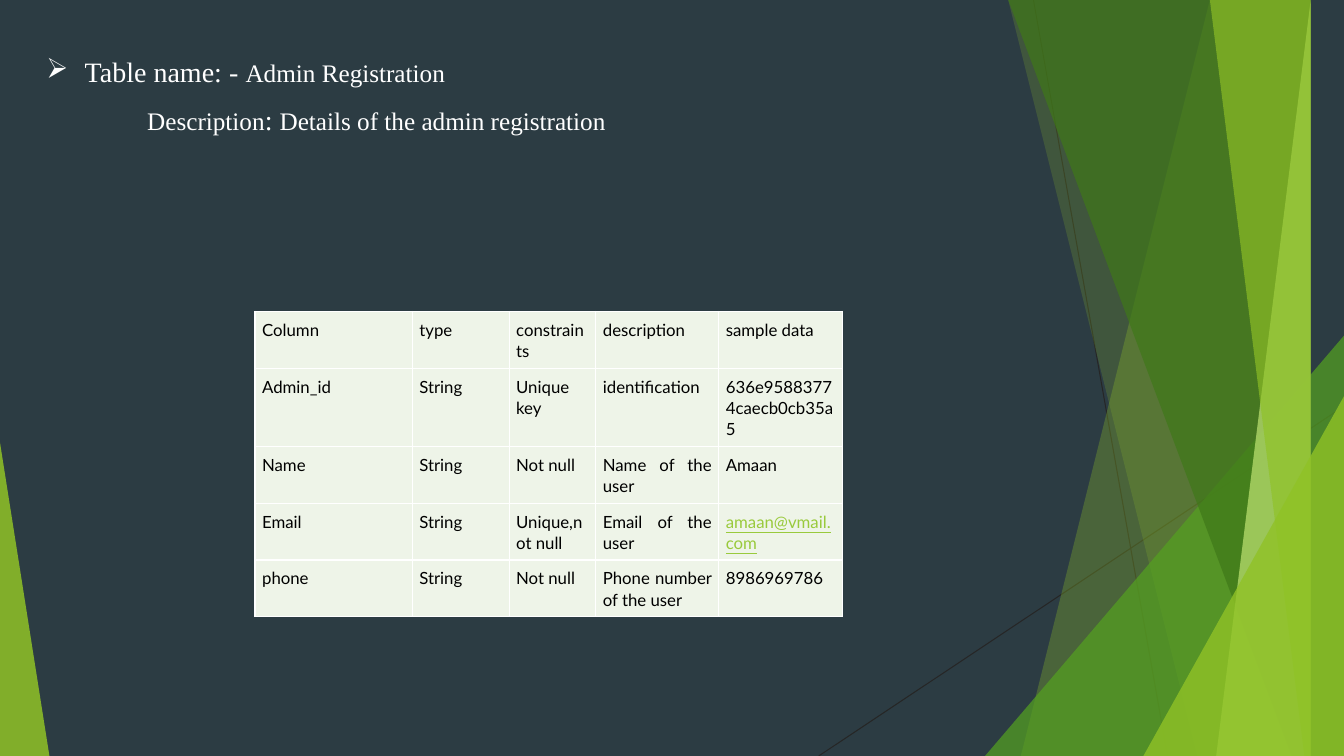
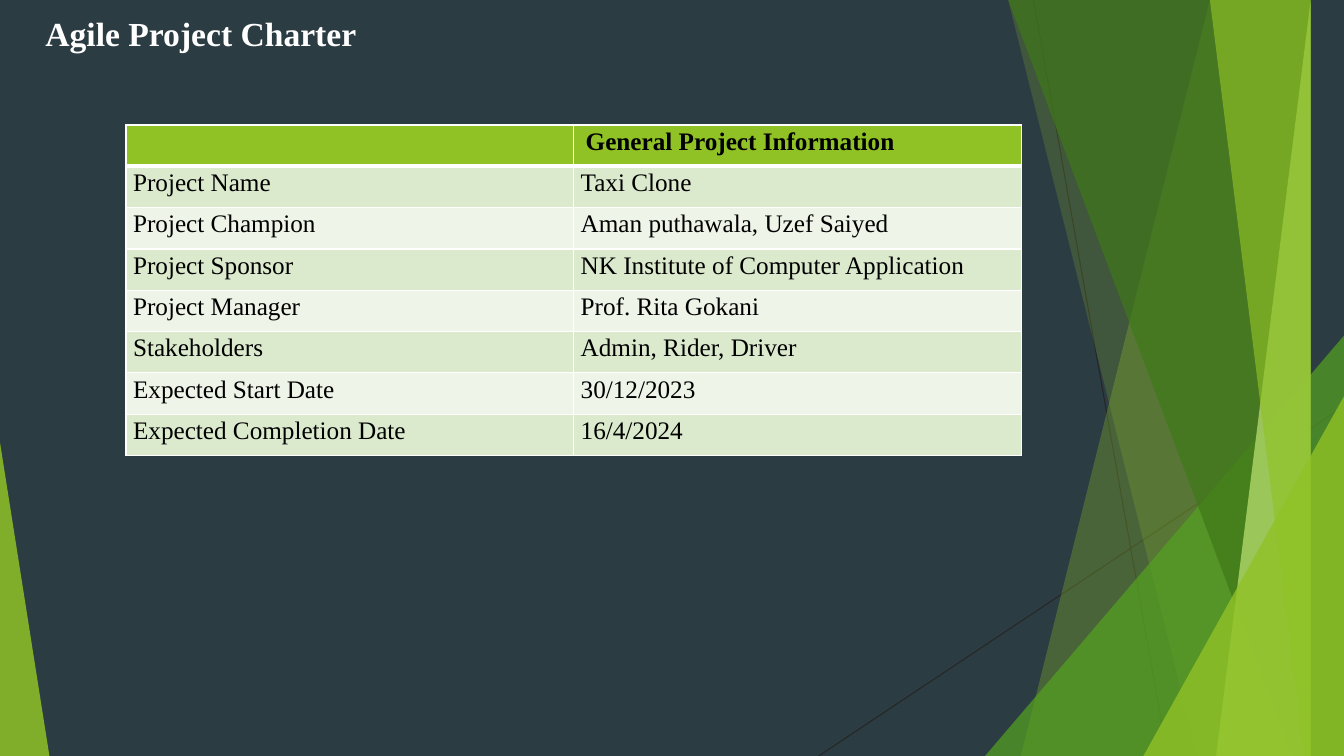
import pptx
import pptx.util
import pptx.dml.color
import pptx.enum.shapes
import pptx.enum.text
import pptx.oxml
import pptx.oxml.ns
from dataclasses import dataclass

Inches = pptx.util.Inches
Pt = pptx.util.Pt
ALIGN = pptx.enum.text.PP_ALIGN
WIDTH, HEIGHT = 13.33, 7.5


@dataclass(frozen=True)
class Theme:
    background: str = "2C3C43"
    line: str = "262626"
    lime: str = "90C226"
    green: str = "54A021"
    forest: str = "3F7819"
    pale: str = "C0E474"
    band_dark: str = "DBE9CD"
    band_light: str = "EEF4E8"
    link: str = "99CA3C"
    white: str = "FFFFFF"
    black: str = "000000"
    serif: str = "Times New Roman"
    sans: str = "Lato"
    title_size: int = 24
    heading_size: int = 20
    text_size: int = 18
    table_size: int = 12


THEME = Theme()

# Decoration: outline points, or box and apex position, then colour and opacity
GUIDE_LINES = [((10.25, 0), (11.58, HEIGHT)), ((WIDTH, 4.03), (8.12, HEIGHT))]
DECORATION = [
    ("band", (12.28, 10.04), THEME.lime, 30),
    ("band", (10.5, 11.83), THEME.lime, 20),
    ("triangle", (9.77, 3.33, 3.56, 4.17, 1), THEME.green, 72),
    ("band", (10.21, 12.91), THEME.forest, 70),
    ("band", (13.03, 11.92), THEME.pale, 70),
    ("band", (11.96, 13.18), THEME.lime, 65),
    ("triangle", (11.34, 3.93, 1.99, 3.57, 1), THEME.lime, 80),
    ("triangle", (0, 4.39, 0.49, 3.11, 0), THEME.lime, 85),
]

ADMIN_FIELDS = [
    ["Column", "type", "constraints", "description", "sample data"],
    ["Admin_id", "String", "Unique key", "identification", "636e95883774caecb0cb35a5"],
    ["Name", "String", "Not null", "Name of the user", "Amaan"],
    ["Email", "String", "Unique,not null", "Email of the user", "amaan@vmail.com"],
    ["phone", "String", "Not null", "Phone number of the user", "8986969786"],
]
CHARTER = [
    ["", "General Project Information"],
    ["Project Name", "Taxi Clone"],
    ["Project Champion", "Aman puthawala, Uzef Saiyed"],
    ["Project Sponsor", "NK Institute of Computer Application"],
    ["Project Manager", "Prof. Rita Gokani"],
    ["Stakeholders", "Admin, Rider, Driver"],
    ["Expected Start Date", "30/12/2023"],
    ["Expected Completion Date", "16/4/2024"],
]


def rgb(code):
    return pptx.dml.color.RGBColor.from_string(code)


def assign(target, formats):
    for attribute, value in formats.items():
        setattr(target, attribute, value)


def add_xml(parent, tag, **attributes):
    child = pptx.oxml.ns.qn(tag)
    element = parent.makeelement(child, attributes)
    parent.append(element)
    return element


def paint(fill, color, opacity=100):
    fill.solid()
    fill.fore_color.rgb = rgb(color)
    if opacity < 100:
        color_node = fill._xPr.find(".//" + pptx.oxml.ns.qn("a:srgbClr"))
        add_xml(color_node, "a:alpha", val=str(opacity * 1000))


# Shared background and decoration
def add_guide_line(slide, start, end):
    line = slide.shapes.add_connector(
        pptx.enum.shapes.MSO_CONNECTOR.STRAIGHT, *map(Inches, start + end))
    line.line.color.rgb = rgb(THEME.line)
    line.line.width = Pt(0.75)
    add_xml(line.element.spPr, "a:effectLst")
    return line


def add_band(slide, top_x, bottom_x):
    builder = slide.shapes.build_freeform(top_x, 0, scale=Inches(1))
    builder.add_line_segments([(WIDTH, 0), (WIDTH, HEIGHT), (bottom_x, HEIGHT)])
    return builder.convert_to_shape()


def add_triangle(slide, left, top, width, height, apex):
    triangle = slide.shapes.add_shape(
        pptx.enum.shapes.MSO_SHAPE.ISOSCELES_TRIANGLE,
        *map(Inches, (left, top, width, height)))
    triangle.adjustments[0] = apex
    return triangle


def decorate_master(master, slide):
    """Draw the decoration on a slide, then move it to the master."""
    paint(master.background.fill, THEME.background)
    parts = [add_guide_line(slide, *ends) for ends in GUIDE_LINES]
    builders = {"band": add_band, "triangle": add_triangle}
    for kind, geometry, color, opacity in DECORATION:
        part = builders[kind](slide, *geometry)
        part.shadow.inherit = False
        part.line.fill.background()
        paint(part.fill, color, opacity)
        parts.append(part)
    for order, part in enumerate(parts):
        part.element.xpath(".//p:cNvPr")[0].set("id", str(100 + order))
        master.shapes.element.insert(2 + order, part.element)


# Text
def write_runs(paragraph, runs, color, font, formats, bold=False):
    assign(paragraph, formats)
    for text, size in runs:
        run = paragraph.add_run()
        run.text = text
        assign(run.font, {"name": font, "size": Pt(size), "bold": bold})
        run.font.color.rgb = rgb(color)


def fill_placeholder(placeholder, box, runs, formats, bold=False):
    assign(placeholder, dict(zip(("left", "top", "width", "height"), map(Inches, box))))
    frame = placeholder.text_frame
    assign(frame, {
        "word_wrap": True,
        "auto_size": pptx.enum.text.MSO_AUTO_SIZE.NONE,
        "vertical_anchor": pptx.enum.text.MSO_ANCHOR.TOP,
    })
    paragraph = frame.paragraphs[0]
    write_runs(paragraph, runs, THEME.white, THEME.serif,
               {"space_before": Pt(0), **formats}, bold)
    return paragraph


def set_indent(paragraph, left, first, bullet=None):
    properties = paragraph._p.get_or_add_pPr()
    properties.set("marL", str(Inches(left)))
    properties.set("indent", str(Inches(first)))
    if bullet:
        add_xml(properties, "a:buChar", char=bullet)
    else:
        add_xml(properties, "a:buNone")


# Tables
def set_borders(cell, bottom_width=1):
    properties = cell._tc.get_or_add_tcPr()
    widths = {"a:lnL": 1, "a:lnR": 1, "a:lnT": 1, "a:lnB": bottom_width}
    for position, (tag, width) in enumerate(widths.items()):
        border = add_xml(properties, tag, w=str(Pt(width)))
        add_xml(add_xml(border, "a:solidFill"), "a:srgbClr", val=THEME.white)
        properties.insert(position, border)


def add_grid(slide, left, top, columns, heights, rows, style_cell):
    table = slide.shapes.add_table(
        len(rows), len(columns), Inches(left), Inches(top),
        Inches(sum(columns)), Inches(sum(heights))).table
    assign(table, {"first_row": False, "horz_banding": False})
    for column, width in zip(table.columns, columns):
        column.width = Inches(width)
    for row, height in zip(table.rows, heights):
        row.height = Inches(height)
    for row_index, row in enumerate(rows):
        for column_index, text in enumerate(row):
            style_cell(table.cell(row_index, column_index), text, row_index)


def write_cell(cell, text, fill, margins, font, size, color=THEME.black,
               bold=False, align=ALIGN.LEFT):
    names = ("margin_left", "margin_top", "margin_right", "margin_bottom")
    assign(cell, dict(zip(names, map(Inches, margins))))
    paint(cell.fill, fill)
    if text:
        write_runs(cell.text_frame.paragraphs[0], [(text, size)], color, font,
                   {"alignment": align, "line_spacing": 1.06, "space_after": Pt(8)}, bold)


def style_field_cell(cell, text, row_index):
    is_address = "@" in text
    write_cell(cell, text, THEME.band_light, [0.07] * 4, THEME.sans, THEME.table_size,
               THEME.link if is_address else THEME.black, align=ALIGN.JUSTIFY)
    if is_address:
        cell.text_frame.paragraphs[0].runs[0].font.underline = True
    set_borders(cell)


def style_charter_cell(cell, text, row_index):
    is_header = row_index == 0
    band = THEME.band_dark if row_index % 2 else THEME.band_light
    write_cell(cell, text, THEME.lime if is_header else band,
               (0.12 if is_header else 0.07, 0.01, 0.05, 0),
               THEME.serif, THEME.text_size, bold=is_header)
    set_borders(cell, 3 if is_header else 1)


# Slides
def build_admin_slide(slide):
    title, body = slide.placeholders
    spacing = {"alignment": ALIGN.JUSTIFY, "line_spacing": 1.13}
    heading = fill_placeholder(
        title, (0.36, 0.45, 6.67, 0.47),
        [("Table name: - ", THEME.heading_size), ("Admin Registration", THEME.text_size)],
        spacing)
    set_indent(heading, 0.38, -0.38, "➢")
    description = fill_placeholder(
        body, (0.36, 0.92, 6.67, 0.47),
        [("Description", THEME.text_size), (": ", THEME.heading_size),
         ("Details of the admin registration", THEME.text_size)],
        spacing)
    set_indent(description, 1, 0)
    add_grid(slide, 2.53, 3.09, [1.56, 0.96, 0.86, 1.22, 1.23],
             [0.38, 0.52, 0.52, 0.52, 0.38], ADMIN_FIELDS, style_field_cell)


def build_charter_slide(slide):
    fill_placeholder(
        slide.shapes.title, (0.35, 0, 6.67, 0.55),
        [("Agile Project Charter", THEME.title_size)],
        {"alignment": ALIGN.LEFT, "line_spacing": 1.2}, bold=True)
    add_grid(slide, 1.25, 1.24, [4.44] * 2, [0.41] * len(CHARTER),
             CHARTER, style_charter_cell)


def main():
    deck = pptx.Presentation()
    assign(deck, {"slide_width": Inches(WIDTH), "slide_height": Inches(HEIGHT)})
    layouts = deck.slide_layouts
    admin = deck.slides.add_slide(layouts.get_by_name("Title and Content"))
    charter = deck.slides.add_slide(layouts.get_by_name("Title Only"))
    decorate_master(deck.slide_master, admin)
    build_admin_slide(admin)
    build_charter_slide(charter)
    deck.save("out.pptx")


if __name__ == "__main__":
    main()
